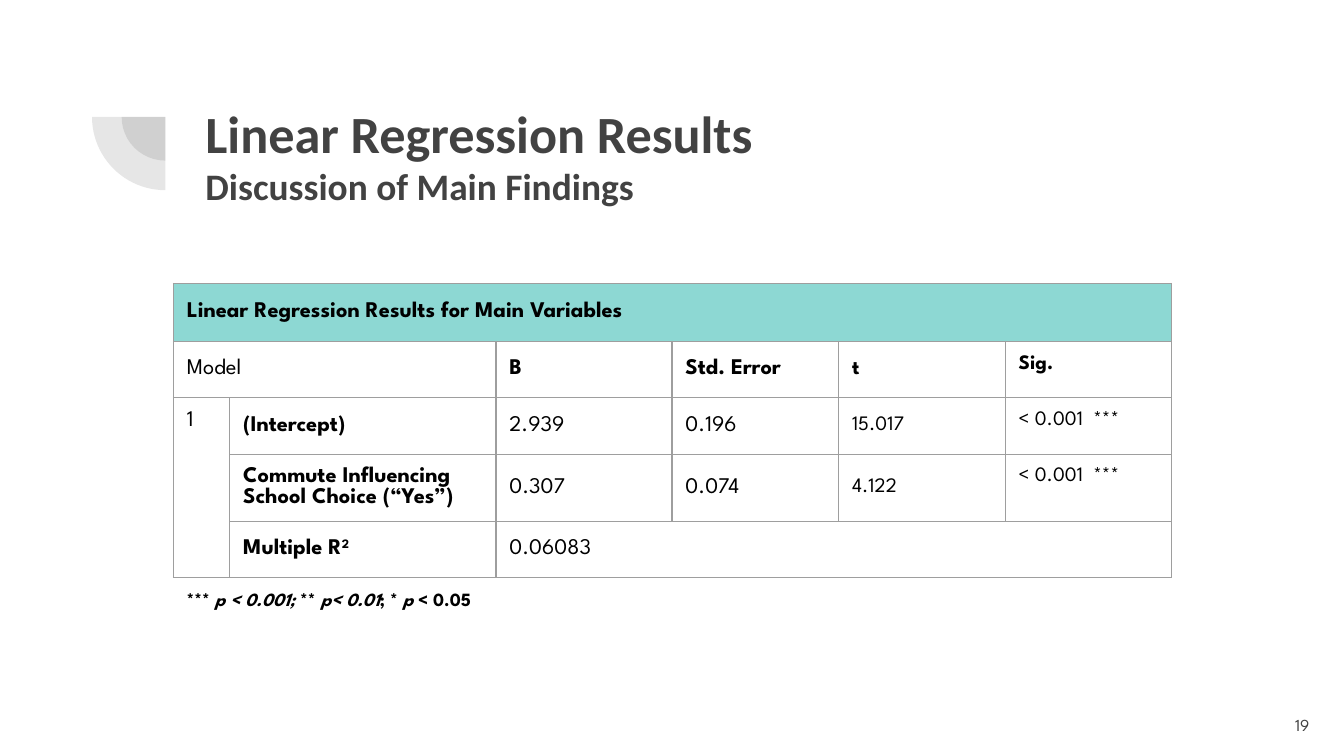
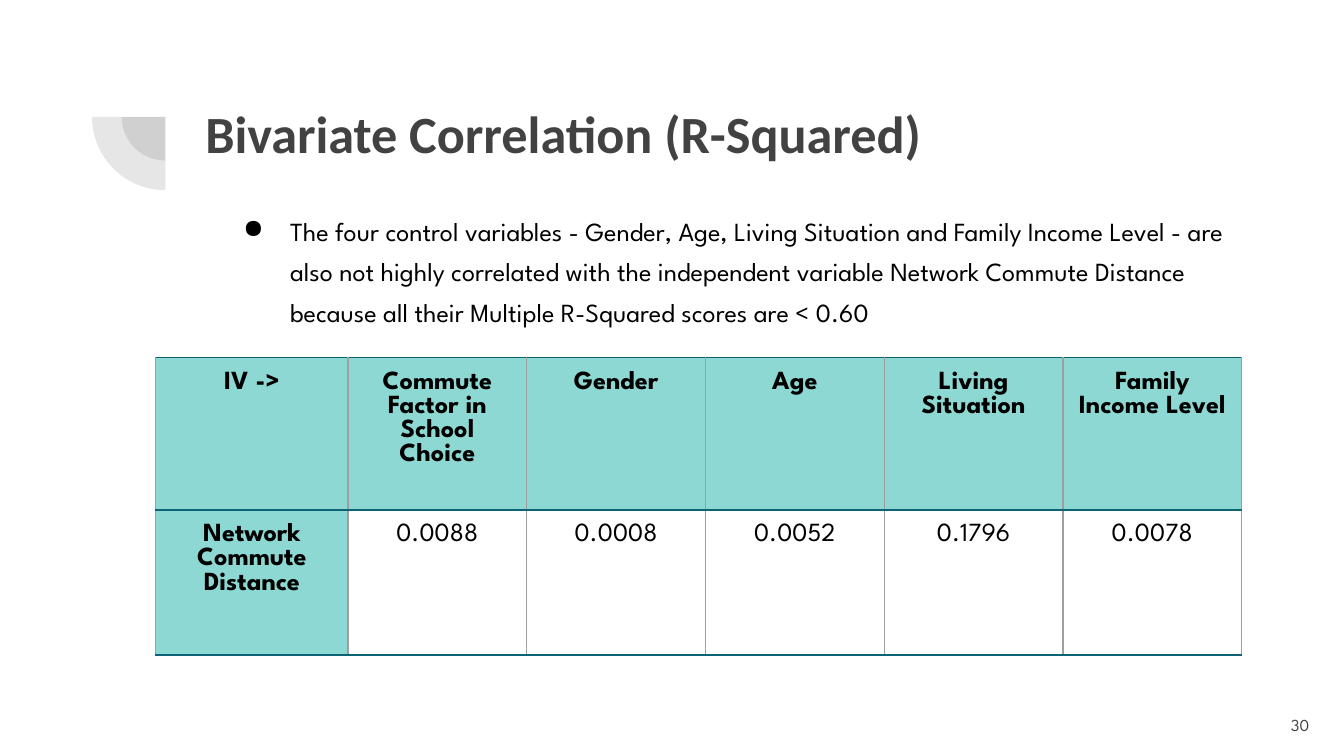
from lxml.etree import SubElement
from pptx import Presentation
from pptx.dml.color import RGBColor
from pptx.enum.shapes import MSO_SHAPE as Shape
from pptx.enum.text import MSO_ANCHOR as Anchor, PP_ALIGN as Align
from pptx.oxml.ns import qn
from pptx.util import Inches, Pt

INK, BLACK, TEAL = "424242", "000000", "8DD8D3"
GREY_LINE, TEAL_LINE = "9E9E9E", "0B6374"
TITLE_FONT, BODY_FONT = "Calibri", "League Spartan"


def color(value):
    return RGBColor.from_string(value)


def style(target, size, ink=BLACK, bold=False, font_name=BODY_FONT):
    font = target.font
    font.name, font.size, font.bold = font_name, Pt(size), bold
    font.color.rgb = color(ink)


def add_run(paragraph, text, size, bold=False):
    run = paragraph.add_run()
    run.text = text
    style(run, size, bold=bold)
    return run


def set_margins(target, side=0.1, top=0.1, bottom=0.1):
    target.margin_left = target.margin_right = Inches(side)
    target.margin_top, target.margin_bottom = Inches(top), Inches(bottom)


def add_text(slide, box, anchor=Anchor.TOP):
    frame = slide.shapes.add_textbox(*map(Inches, box)).text_frame
    frame.word_wrap = True
    frame.vertical_anchor = anchor
    set_margins(frame)
    return frame


def add_corner(slide, center_x, center_y):
    for diameter in (0.65, 1.09):
        left, top = center_x - diameter / 2, center_y - diameter / 2
        pie = slide.shapes.add_shape(
            Shape.PIE, *map(Inches, (left, top, diameter, diameter)))
        pie.rotation = 270
        pie.adjustments[0], pie.adjustments[1] = 108, 162
        pie.shadow.inherit = False
        pie.line.fill.background()
        pie.fill.solid()
        pie.fill.fore_color.rgb = color(INK)
        fill_color = pie.fill._xPr.find(qn("a:solidFill"))[0]
        SubElement(fill_color, qn("a:alpha"), val="13000")


def add_title(slide, box, title, subtitle=None):
    frame = add_text(slide, box)
    paragraph = frame.paragraphs[0]
    paragraph.text = title
    style(paragraph, 28, INK, True, TITLE_FONT)
    if subtitle:
        paragraph = frame.add_paragraph()
        paragraph.text = subtitle
        style(paragraph, 20, INK, True, TITLE_FONT)


def add_page_number(slide, number):
    frame = add_text(slide, (9.24, 5.18, 0.6, 0.43), Anchor.MIDDLE)
    paragraph = frame.paragraphs[0]
    paragraph.text = str(number)
    paragraph.alignment = Align.RIGHT
    style(paragraph, 9, INK)


def add_page(presentation, number, title_box, title, subtitle=None):
    slide = presentation.slides.add_slide(presentation.slide_layouts[6])
    add_corner(slide, 1.23, 0.87)
    add_title(slide, title_box, title, subtitle)
    add_page_number(slide, number)
    return slide


def set_borders(cell, side_color, edge_color):
    properties = cell._tc.get_or_add_tcPr()
    for tag, line_color in (("lnL", side_color), ("lnR", side_color),
                            ("lnT", edge_color), ("lnB", edge_color)):
        line = SubElement(properties, qn(f"a:{tag}"), w=str(Pt(0.75)))
        fill = SubElement(line, qn("a:solidFill"))
        SubElement(fill, qn("a:srgbClr"), val=line_color)


def add_table(slide, left, top, widths, heights, edge_color):
    table = slide.shapes.add_table(
        len(heights), len(widths), Inches(left), Inches(top),
        Inches(sum(widths)), Inches(sum(heights))).table
    table.first_row = table.horz_banding = False
    for column, width in zip(table.columns, widths):
        column.width = Inches(width)
    for row, height in zip(table.rows, heights):
        row.height = Inches(height)
    for cell in table.iter_cells():
        set_borders(cell, GREY_LINE, edge_color)
        cell.fill.background()
    return table


def fill_cell(cell, text, size, bold, fill=None, align=None):
    paragraph = cell.text_frame.paragraphs[0]
    paragraph.alignment = align
    add_run(paragraph, text, size, bold)
    if fill:
        cell.fill.solid()
        cell.fill.fore_color.rgb = color(fill)


def add_regression_table(slide, left, top):
    rows = [
        ["Linear Regression Results for Main Variables"] + [""] * 5,
        ["Model", "", "B", "Std. Error", "t", "Sig."],
        ["1", "(Intercept)", "2.939", "0.196", "15.017", "< 0.001  ***"],
        ["", "Commute Influencing School Choice (“Yes”)",
         "0.307", "0.074", "4.122", "< 0.001  ***"],
        ["", "Multiple R", "0.06083", "", "", ""],
    ]
    widths = [0.42, 1.98, 1.31] + [1.24] * 3
    table = add_table(slide, left, top, widths, [0.43] + [0.42] * 4, GREY_LINE)
    for first, last in (((0, 0), (0, 5)), ((1, 0), (1, 1)),
                        ((2, 0), (4, 0)), ((4, 2), (4, 5))):
        table.cell(*first).merge(table.cell(*last))
    for i, row in enumerate(rows):
        for j, text in enumerate(row):
            cell = table.cell(i, j)
            if cell.is_spanned:
                continue
            bold = i == 0 or j == 1 or (i == 1 and j > 1)
            fill_cell(cell, text, 11 if j >= 4 else 12, bold,
                      TEAL if i == 0 else None)
            if j == 5 or (i, j) == (2, 0):
                set_margins(cell, bottom=0)
            else:
                set_margins(cell, top=0.05, bottom=0.05)
                cell.vertical_anchor = Anchor.MIDDLE
    exponent = add_run(table.cell(4, 1).text_frame.paragraphs[0], "2", 12, True)
    exponent._r.get_or_add_rPr().set("baseline", "30000")


def add_significance_note(slide, box):
    paragraph = add_text(slide, box).paragraphs[0]
    parts = ["*** ", "p < 0.001; ", "** ", "p< 0.01", "; * ", "p ", "< 0.05"]
    for i, text in enumerate(parts):
        add_run(paragraph, text, 10, True).font.italic = i % 2 == 1


def add_bullet(slide, box, text):
    paragraph = add_text(slide, box).paragraphs[0]
    paragraph.line_spacing = 1.3
    properties = paragraph._p.get_or_add_pPr()
    properties.set("marL", str(Inches(0.5)))
    properties.set("indent", str(Inches(-0.35)))
    bullet_color = SubElement(properties, qn("a:buClr"))
    SubElement(bullet_color, qn("a:srgbClr"), val=BLACK)
    SubElement(properties, qn("a:buSzPts"), val="1400")
    SubElement(properties, qn("a:buChar"), char="●")
    add_run(paragraph, text, 14)


def add_correlation_table(slide, left, top):
    rows = [
        ["IV ->", "Commute Factor in School Choice", "Gender", "Age",
         "Living Situation", "Family Income Level"],
        ["Network Commute Distance",
         "0.0088", "0.0008", "0.0052", "0.1796", "0.0078"],
    ]
    widths = [1.43] + [1.33] * 5
    table = add_table(slide, left, top, widths, [1.09, 1.08], TEAL_LINE)
    for i, row in enumerate(rows):
        for j, text in enumerate(row):
            header = i == 0 or j == 0
            cell = table.cell(i, j)
            fill_cell(cell, text, 14, header, TEAL if header else None,
                      Align.CENTER)
            set_margins(cell)


def build_regression_slide(presentation):
    slide = add_page(presentation, 19, (1.43, 0.65, 7.69, 1.09),
                     "Linear Regression Results", "Discussion of Main Findings")
    add_regression_table(slide, 1.29, 2.11)
    add_significance_note(slide, (1.29, 4.29, 4.38, 0.22))


def build_correlation_slide(presentation):
    slide = add_page(presentation, 30, (1.43, 0.65, 8.57, 0.65),
                     "Bivariate Correlation (R-Squared)")
    add_correlation_table(slide, 1.16, 2.66)
    add_bullet(
        slide, (1.56, 1.43, 7.81, 1.47),
        "The four control variables - Gender, Age, Living Situation and "
        "Family Income Level - are also not highly correlated with the "
        "independent variable Network Commute Distance because all their "
        "Multiple R-Squared scores are < 0.60")


def main():
    presentation = Presentation()
    presentation.slide_width = Inches(10)
    presentation.slide_height = Inches(10 * 9 / 16)
    build_regression_slide(presentation)
    build_correlation_slide(presentation)
    presentation.save("out.pptx")


if __name__ == "__main__":
    main()
